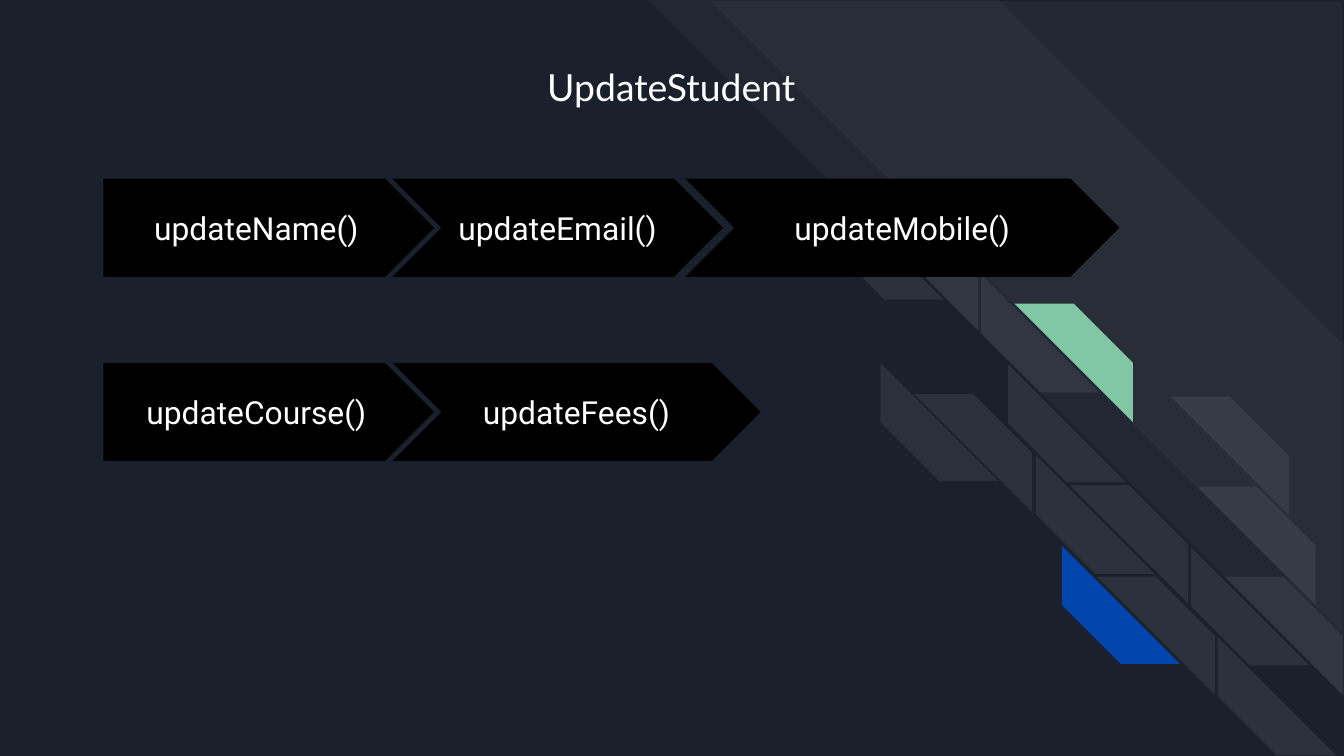
from lxml.etree import SubElement
from pptx import Presentation
from pptx.dml.color import RGBColor
from pptx.enum.shapes import MSO_SHAPE
from pptx.enum.text import MSO_ANCHOR, MSO_AUTO_SIZE, PP_ALIGN
from pptx.oxml.ns import qn
from pptx.util import Inches, Pt

NAVY = RGBColor(0x1B, 0x21, 0x2C)
WHITE = RGBColor(0xFF, 0xFF, 0xFF)
BLACK = RGBColor(0x00, 0x00, 0x00)
GREEN = RGBColor(0x82, 0xC7, 0xA5)
BLUE = RGBColor(0x01, 0x45, 0xAC)

SLIDE_WIDTH = Inches(10)
SLIDE_HEIGHT = SLIDE_WIDTH * 9 // 16
BRICK_SIZE = 0.88
TURNED, FLIPPED = "turned", "flipped"
BANDS = [(4.82, 0, 5.18, 0.495), (5.29, 0.01, 4.7, 0)]
BRICKS = [
    (6.14, 1.35, TURNED, None), (6.4, 1.58, FLIPPED, None),
    (6.55, 2.7, TURNED, None), (6.8, 2.93, FLIPPED, None),
    (7.3, 2.04, TURNED, None), (7.55, 2.26, FLIPPED, GREEN),
    (7.5, 2.71, TURNED, None), (8.71, 2.95, FLIPPED, None),
    (8.91, 3.62, FLIPPED, None), (7.71, 3.39, TURNED, None),
    (7.96, 3.61, FLIPPED, None), (7.9, 4.06, TURNED, BLUE),
    (8.16, 4.29, FLIPPED, None), (8.86, 4.07, TURNED, None),
    (9.11, 4.29, FLIPPED, None), (9.06, 4.74, TURNED, None),
]
ARROW_HEIGHT = 0.73
ARROW_ROWS = [
    (1.33, [("updateName()", 0.77, 2.46), ("updateEmail()", 2.92, 2.46),
            ("updateMobile()", 5.1, 3.23)]),
    (2.7, [("updateCourse()", 0.77, 2.46), ("updateFees()", 2.92, 2.74)]),
]


def set_values(target, values):
    """Set every attribute named in values on the target."""
    for name, value in values.items():
        setattr(target, name, value)


def write_text(shape, text, font_name, size, frame_values):
    """Write one centred white line in a shape."""
    frame = shape.text_frame
    margins = ("margin_left", "margin_top", "margin_right", "margin_bottom")
    set_values(frame, {**dict.fromkeys(margins, Inches(0.1)),
                       "word_wrap": True, **frame_values})
    para = frame.paragraphs[0]
    para.alignment = PP_ALIGN.CENTER
    span = para.add_run()
    span.text = text
    set_values(span.font, {"name": font_name, "size": Pt(size)})
    span.font.color.rgb = WHITE


def add_solid(page, kind, left, top, width, height, color, adjustment=0.5):
    """Add a preset shape with a flat fill and no line or shadow."""
    shape = page.shapes.add_shape(
        kind, Inches(left), Inches(top), Inches(width), Inches(height))
    shape.adjustments[0] = adjustment
    shape.shadow.inherit = False
    shape.fill.solid()
    shape.fill.fore_color.rgb = color
    shape.line.fill.background()
    return shape


def add_stripe(page, left, top, size, color, adjustment=0.5):
    """Add a square diagonal stripe."""
    return add_solid(page, MSO_SHAPE.DIAGONAL_STRIPE, left, top, size, size,
                     color, adjustment)


def set_opacity(shape, percent):
    """Make the solid fill of a shape translucent."""
    color = shape._element.spPr.find(qn("a:solidFill"))[0]
    SubElement(color, qn("a:alpha"), val=str(percent * 1000))


def add_backdrop(page):
    """Draw the wide bands and the wall of bricks."""
    for left, top, size, adjustment in BANDS:
        band = add_stripe(page, left, top, size, WHITE, adjustment)
        band.rotation = 90
        set_opacity(band, 3)
    for left, top, pose, color in BRICKS:
        brick = add_stripe(page, left, top, BRICK_SIZE, color or WHITE)
        if pose == TURNED:
            brick.rotation = 270
        else:
            brick._element.spPr.xfrm.set("flipH", "1")
        if color is None:
            set_opacity(brick, 7)


def place_title(page, text):
    """Format the title and bring it in front of the backdrop."""
    title = page.shapes.title
    set_values(title, {"left": Inches(0.28), "top": Inches(0.38),
                       "width": Inches(9.43), "height": Inches(0.54)})
    write_text(title, text, "Lato", 20,
               {"vertical_anchor": MSO_ANCHOR.TOP,
                "auto_size": MSO_AUTO_SIZE.SHAPE_TO_FIT_TEXT})
    page.shapes._spTree.append(title._element)


def add_arrow_row(page, top, steps):
    """Add a row that opens with a pentagon and goes on with chevrons."""
    for index, (text, left, width) in enumerate(steps):
        kind = MSO_SHAPE.CHEVRON if index else MSO_SHAPE.PENTAGON
        arrow = add_solid(page, kind, left, top, width, ARROW_HEIGHT, BLACK)
        write_text(arrow, text, "Roboto", 17,
                   {"vertical_anchor": MSO_ANCHOR.MIDDLE})


def main():
    """Build the slide and save it."""
    deck = Presentation()
    set_values(deck, {"slide_width": SLIDE_WIDTH, "slide_height": SLIDE_HEIGHT})
    page = deck.slides.add_slide(deck.slide_layouts[5])
    page.background.fill.solid()
    page.background.fill.fore_color.rgb = NAVY
    add_backdrop(page)
    place_title(page, "UpdateStudent")
    for top, steps in ARROW_ROWS:
        add_arrow_row(page, top, steps)
    deck.save("out.pptx")


if __name__ == "__main__":
    main()
